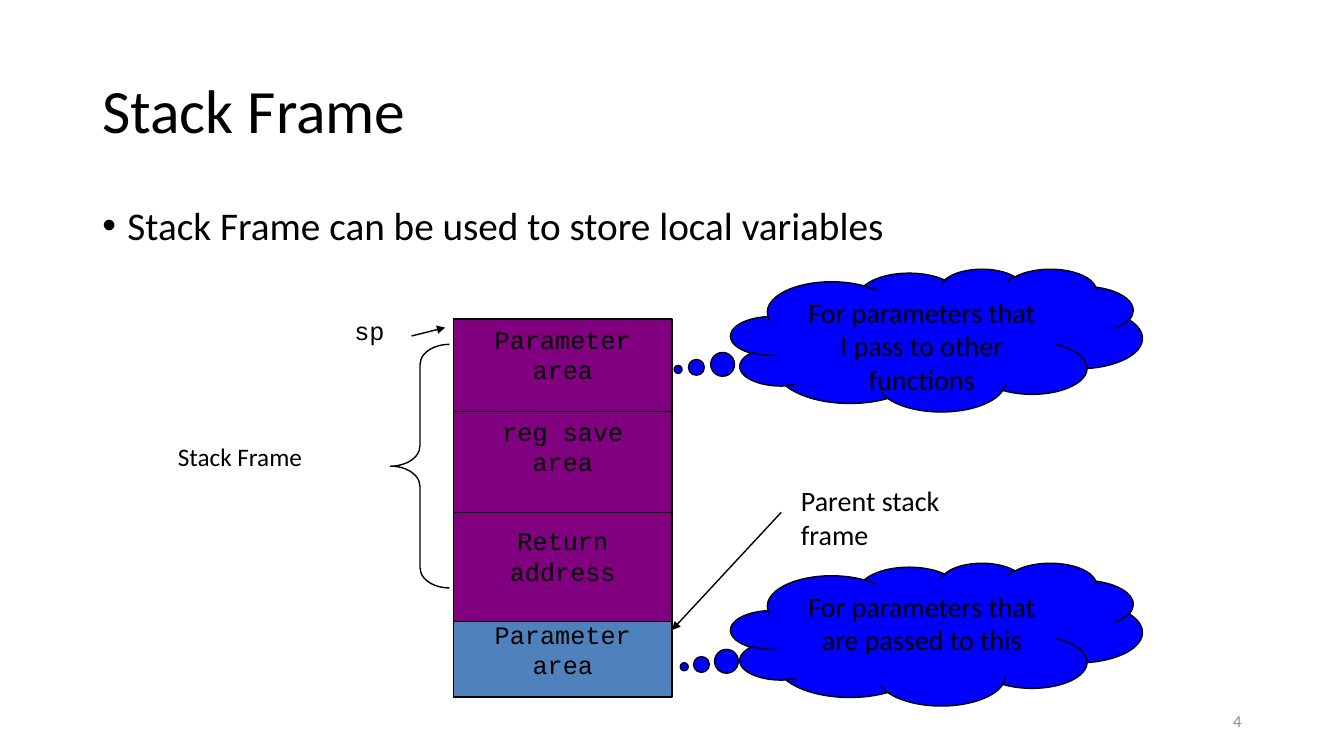
from collections import namedtuple
from pptx import Presentation
from pptx.dml.color import RGBColor
from pptx.enum.shapes import MSO_CONNECTOR, MSO_SHAPE
from pptx.enum.text import MSO_ANCHOR, PP_ALIGN
from pptx.oxml.ns import qn
from pptx.util import Pt
from lxml.etree import SubElement

COLORS = {
    "ink": "000000",
    "frame": "800080",
    "parent": "4F81BD",
    "cloud": "0000FF",
    "number": "8B8B8B",
}
LINE_WIDTH = 1
Box = namedtuple("Box", "left top width height")


def color(name):
    return RGBColor.from_string(COLORS[name])


def write(shape, text, font="Calibri", size=18, ink="ink", align=PP_ALIGN.LEFT,
          anchor=MSO_ANCHOR.TOP, wrap=True, spacing=None, before=0, bullet=None):
    frame = shape.text_frame
    frame.word_wrap = wrap
    frame.vertical_anchor = anchor
    for index, line in enumerate(text.split("\n")):
        para = frame.add_paragraph() if index else frame.paragraphs[0]
        para.alignment = align
        para.line_spacing = spacing
        para.space_before = Pt(before)
        if bullet:
            properties = para._p.get_or_add_pPr()
            properties.set("marL", str(Pt(18)))
            properties.set("indent", str(Pt(-18)))
            SubElement(properties, qn("a:buFont")).set("typeface", "Arial")
            SubElement(properties, qn("a:buChar")).set("char", bullet)
        span = para.add_run()
        span.text = line
        span.font.name = font
        span.font.size = Pt(size)
        span.font.color.rgb = color(ink)


def add_text(page, box, text, **style):
    write(page.shapes.add_textbox(*map(Pt, box)), text, **style)


def add_outlined(page, kind, box, fill=None):
    shape = page.shapes.add_shape(kind, *map(Pt, box))
    shape.shadow.inherit = False
    if fill:
        shape.fill.solid()
        shape.fill.fore_color.rgb = color(fill)
    else:
        shape.fill.background()
    shape.line.color.rgb = color("ink")
    shape.line.width = Pt(LINE_WIDTH)
    return shape


def add_line(page, start, end, arrow=False):
    line = page.shapes.add_connector(MSO_CONNECTOR.STRAIGHT, *map(Pt, start + end))
    line.line.color.rgb = color("ink")
    line.line.width = Pt(LINE_WIDTH)
    if arrow:
        SubElement(line.line._get_or_add_ln(), qn("a:tailEnd")).set("type", "triangle")
    SubElement(line._element.spPr, qn("a:effectLst"))


def add_heading(page, box):
    add_text(page, Box(box.left, box.top, box.width, 104), "Stack Frame",
             size=44, anchor=MSO_ANCHOR.MIDDLE, spacing=0.9)
    add_text(page, Box(box.left, box.top + 115, box.width, 343),
             "Stack Frame can be used to store local variables",
             size=28, spacing=0.9, before=10, bullet="•")


def add_stack(page, box):
    areas = [
        (0, 0, "Parameter\narea"),
        (66, 66, "reg save\narea"),
        (138, 144, "Return\naddress"),
        (216, 211, "Parameter\narea"),
    ]
    parent_top = areas[-1][0]
    add_outlined(page, MSO_SHAPE.RECTANGLE,
                 Box(box.left, box.top + parent_top, box.width, box.height - parent_top),
                 "parent")
    add_outlined(page, MSO_SHAPE.RECTANGLE, box._replace(height=parent_top), "frame")
    for divider, _, _ in areas[1:-1]:
        level = box.top + divider
        add_line(page, (box.left, level), (box.left + box.width, level))
    for _, text_top, label in areas:
        add_text(page, Box(box.left, box.top + text_top, box.width, 50), label,
                 font="Courier New", align=PP_ALIGN.CENTER)


def add_frame_labels(page, box):
    left, top = box.left, box.top
    add_text(page, Box(left + 126, top, 36, 29), "sp", font="Courier New", wrap=False)
    add_line(page, (left + 174, top + 18), (left + 198, top + 12), arrow=True)
    brace = add_outlined(page, MSO_SHAPE.LEFT_BRACE, Box(left + 159, top + 24, 42, 174))
    brace.adjustments[0] = 0.345
    add_text(page, Box(left, top + 90, 103, 29), "Stack Frame", wrap=False)


def add_parent_label(page, box):
    add_text(page, Box(box.left + 85, box.top, 166, 31), "Parent stack frame",
             size=20, wrap=False)
    add_line(page, (box.left + 78, box.top + 24), (box.left, box.top + box.height),
             arrow=True)


def add_thought(page, box, text, pointer):
    cloud = add_outlined(page, MSO_SHAPE.CLOUD_CALLOUT, box, "cloud")
    for index, value in enumerate(pointer):
        cloud.adjustments[index] = value
    write(cloud, text, size=20, align=PP_ALIGN.CENTER)


def add_page_number(page, box):
    add_text(page, box, "4", size=12, ink="number", align=PP_ALIGN.RIGHT,
             anchor=MSO_ANCHOR.MIDDLE)


deck = Presentation()
deck.slide_width, deck.slide_height = Pt(960), Pt(540)
page = deck.slides.add_slide(deck.slide_layouts[6])
add_heading(page, Box(66, 29, 828, 458))
add_stack(page, Box(324, 228, 156, 270))
add_frame_labels(page, Box(120, 222, 201, 198))
add_parent_label(page, Box(480, 342, 251, 108))
add_thought(page, Box(522, 192, 294, 102),
            "For parameters that\nI pass to other\nfunctions", (-0.628, 0.205))
add_thought(page, Box(522, 402, 294, 102),
            "For parameters that are passed to this", (-0.613, 0.228))
add_page_number(page, Box(678, 500, 216, 29))
deck.save("out.pptx")
